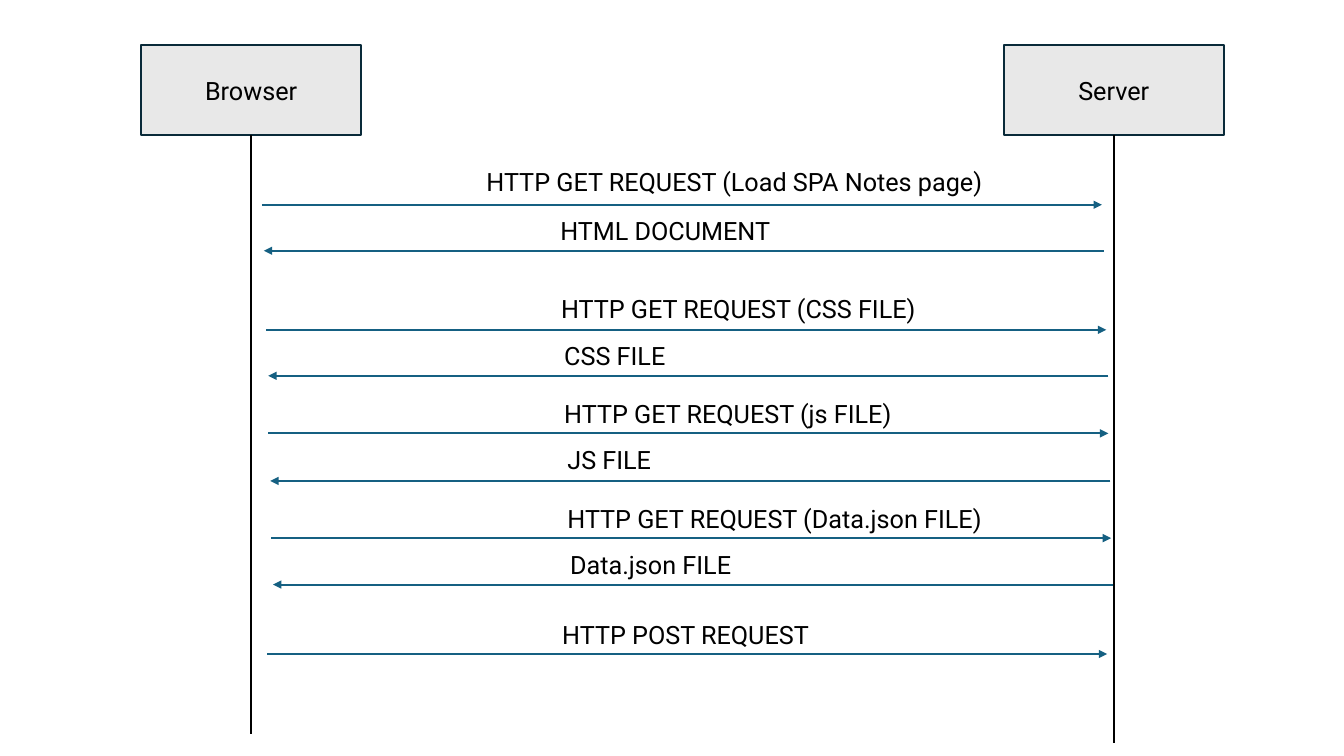
from dataclasses import dataclass

from lxml.etree import SubElement
from pptx import Presentation
from pptx.dml.color import RGBColor
from pptx.enum.shapes import MSO_CONNECTOR, MSO_SHAPE
from pptx.enum.text import MSO_ANCHOR, MSO_AUTO_SIZE, PP_ALIGN
from pptx.oxml.ns import qn
from pptx.util import Cm, Pt


@dataclass(frozen=True)
class Theme:
    font: str = "Roboto"
    text_size: Pt = Pt(18)
    line_width: Pt = Pt(1.5)
    ink: RGBColor = RGBColor(0x00, 0x00, 0x00)
    box_fill: RGBColor = RGBColor(0xE8, 0xE8, 0xE8)
    box_edge: RGBColor = RGBColor(0x09, 0x2A, 0x39)
    arrow: RGBColor = RGBColor(0x15, 0x60, 0x82)


theme = Theme()


def add_words(frame, words, align):
    paragraph = frame.paragraphs[0]
    paragraph.alignment = align
    run = paragraph.add_run()
    run.text = words
    run.font.name = theme.font
    run.font.size = theme.text_size
    run.font.color.rgb = theme.ink


def add_line(x1, y1, x2, y2, color, arrowhead=False):
    line = slide.shapes.add_connector(
        MSO_CONNECTOR.STRAIGHT, Cm(x1), Cm(y1), Cm(x2), Cm(y2))
    line.line.color.rgb = color
    line.line.width = theme.line_width
    if arrowhead:
        SubElement(line.line._get_or_add_ln(), qn("a:tailEnd"), type="triangle")
    SubElement(line._element.spPr, qn("a:effectLst"))


presentation = Presentation()
presentation.slide_width = Cm(33.87)
presentation.slide_height = Cm(19.05)
slide = presentation.slides.add_slide(presentation.slide_layouts[6])

# Participants and their lifelines: name, left, lifeline end
box_top, box_width, box_height = 1.14, 5.54, 2.26
participants = [("Browser", 3.56, 18.49), ("Server", 25.3, 18.72)]
for name, left, lifeline_end in participants:
    participant = slide.shapes.add_shape(
        MSO_SHAPE.RECTANGLE, Cm(left), Cm(box_top), Cm(box_width), Cm(box_height))
    participant.shadow.inherit = False
    participant.fill.solid()
    participant.fill.fore_color.rgb = theme.box_fill
    participant.line.color.rgb = theme.box_edge
    participant.line.width = theme.line_width
    participant.text_frame.vertical_anchor = MSO_ANCHOR.MIDDLE
    add_words(participant.text_frame, name, PP_ALIGN.CENTER)
    center = left + box_width / 2
    add_line(center, box_top + box_height, center, lifeline_end, theme.ink)

# Messages: words, arrow left, arrow height, label left, label top, label width
# Requests and responses take turns, starting with a request
arrow_length, label_height = 21.17, 1.03
messages = [
    ("HTTP GET REQUEST (Load SPA Notes page)", 6.6, 5.16, 12.01, 4.06, 13.74),
    ("HTML DOCUMENT", 6.65, 6.32, 13.87, 5.31, 6.78),
    ("HTTP GET REQUEST (CSS FILE)", 6.71, 8.31, 13.89, 7.26, 11.73),
    ("CSS FILE", 6.76, 9.47, 13.97, 8.46, 6.78),
    ("HTTP GET REQUEST (js FILE)", 6.76, 10.92, 13.97, 9.91, 11.73),
    ("JS FILE", 6.81, 12.12, 14.05, 11.07, 6.78),
    ("HTTP GET REQUEST (Data.json FILE)", 6.83, 13.56, 14.05, 12.55, 11.73),
    ("Data.json FILE", 6.88, 14.73, 14.12, 13.72, 6.78),
    ("HTTP POST REQUEST", 6.73, 16.48, 13.92, 15.47, 6.78),
]
for index, (words, near, height, left, top, width) in enumerate(messages):
    start, end = near, near + arrow_length
    if index % 2:
        start, end = end, start
    add_line(start, height, end, height, theme.arrow, arrowhead=True)

    label = slide.shapes.add_textbox(Cm(left), Cm(top), Cm(width), Cm(label_height))
    label.text_frame.word_wrap = True
    label.text_frame.auto_size = MSO_AUTO_SIZE.SHAPE_TO_FIT_TEXT
    add_words(label.text_frame, words, PP_ALIGN.LEFT)

presentation.save("out.pptx")
